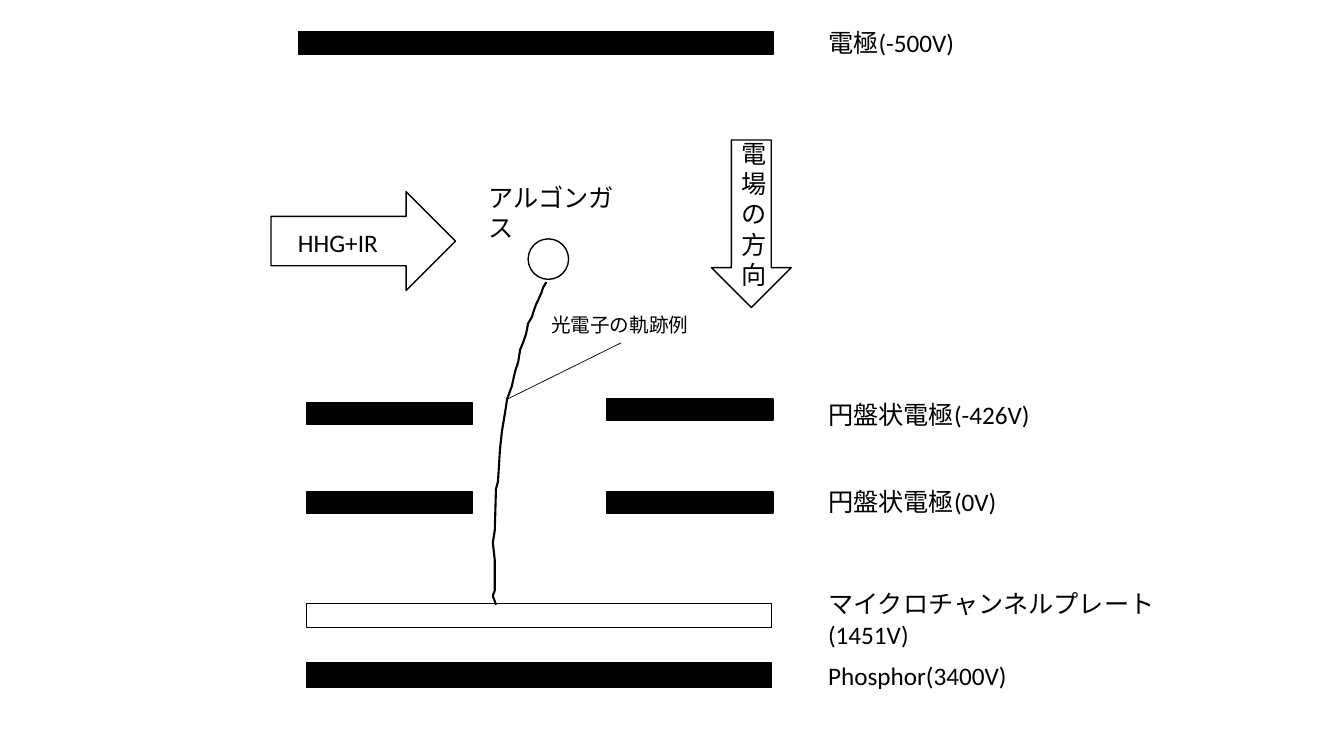
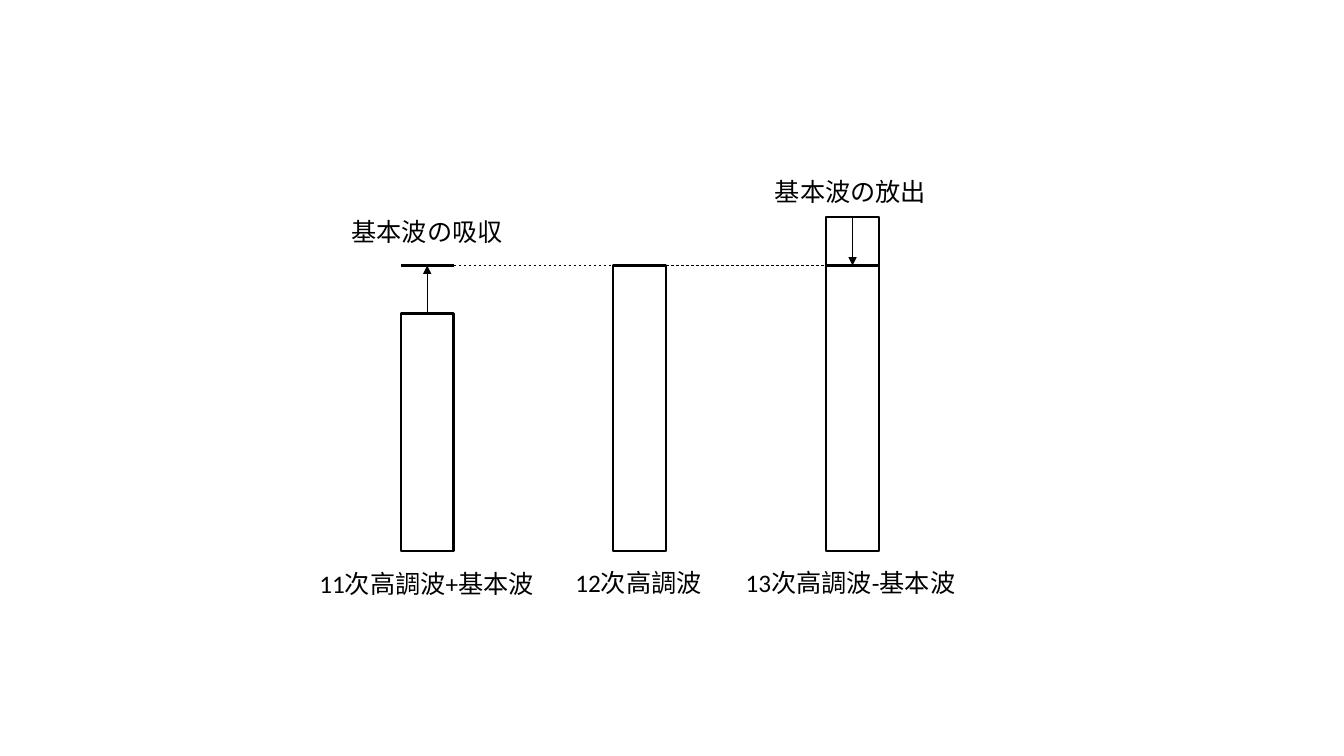
from pptx import Presentation
from pptx.dml.color import RGBColor
from pptx.enum.dml import MSO_LINE as Dash
from pptx.enum.shapes import MSO_CONNECTOR as Link, MSO_SHAPE as Kind
from pptx.enum.text import MSO_ANCHOR as Anchor, MSO_AUTO_SIZE as Fit, PP_ALIGN as Align
from pptx.oxml.ns import qn
from pptx.util import Cm, Pt
from lxml.etree import SubElement


def tint(code):
    return RGBColor.from_string(code)


class Deck:
    """Holds the drawing style and the slide being drawn."""

    ink = "000000"
    paper = "FFFFFF"
    face = "Calibri"

    def __init__(self):
        self.show = Presentation()
        self.show.slide_width = Cm(33.87)
        self.show.slide_height = Cm(19.05)

    def page(self):
        self.shapes = self.show.slides.add_slide(self.show.slide_layouts[6]).shapes

    def style(self, shape, fill, weight):
        shape.shadow.inherit = False
        if fill:
            shape.fill.solid()
            shape.fill.fore_color.rgb = tint(fill)
        else:
            shape.fill.background()
        shape.line.color.rgb = tint(self.ink)
        shape.line.width = Pt(weight)

    def letter(self, frame, words, size):
        frame.word_wrap = True
        par = frame.paragraphs[0]
        par.text = words
        par.font.size = Pt(size)
        par.font.name = self.face
        par.font.color.rgb = tint(self.ink)
        return par

    def shape(self, kind, x, y, w, h, fill=None, weight=1):
        item = self.shapes.add_shape(kind, Cm(x), Cm(y), Cm(w), Cm(h))
        self.style(item, fill, weight)
        return item

    def bar(self, x, y, w, h, fill=None, weight=1):
        return self.shape(Kind.RECTANGLE, x, y, w, h, fill, weight)

    def label(self, words, x, y, w, size=18):
        box = self.shapes.add_textbox(Cm(x), Cm(y), Cm(w), Cm(1.02))
        self.letter(box.text_frame, words, size)
        box.text_frame.auto_size = Fit.SHAPE_TO_FIT_TEXT

    def line(self, x, y, to_x, to_y, weight=0.5, dash=None, arrow=False):
        item = self.shapes.add_connector(Link.STRAIGHT, Cm(x), Cm(y), Cm(to_x), Cm(to_y))
        item.line.color.rgb = tint(self.ink)
        item.line.width = Pt(weight)
        if dash:
            item.line.dash_style = dash
        props = item._element.spPr
        if arrow:
            SubElement(props.find(qn("a:ln")), qn("a:tailEnd"), type="triangle")
        SubElement(props, qn("a:effectLst"))

    def trace(self, points, weight):
        spots = [(Cm(x), Cm(y)) for x, y in points]
        curve = self.shapes.build_freeform(*spots[0])
        curve.add_line_segments(spots[1:], close=False)
        self.style(curve.convert_to_shape(), None, weight)


TRACK = [
    (13.77, 7.11), (13.69, 7.24), (13.64, 7.39), (13.56, 7.57), (13.51, 7.67),
    (13.44, 7.87), (13.41, 7.98), (13.31, 8.15), (13.26, 8.41), (13.18, 8.64),
    (13.11, 8.81), (13.06, 9.12), (12.98, 9.37), (12.9, 9.73), (12.78, 10.06),
    (12.73, 10.39), (12.65, 10.87), (12.6, 11.33), (12.55, 12.14), (12.5, 12.32),
    (12.47, 13.36), (12.45, 13.49), (12.42, 13.67), (12.47, 14.12), (12.47, 14.88),
    (12.42, 15.01), (12.5, 15.24),
]


def draw_setup(deck):
    deck.page()
    left, right, wide = 7.72, 15.29, 11.73
    deck.bar(7.52, 0.79, 11.96, 0.58, deck.ink)
    for x, y in [(left, 10.16), (right, 10.06), (left, 12.4), (right, 12.4)]:
        deck.bar(x, y, 4.19, 0.53, deck.ink)
    deck.bar(left, 15.21, wide, 0.61, deck.paper)
    deck.bar(left, 16.71, wide, 0.61, deck.ink)
    for words, y, w in [
        ("電極(-500V)", 0.56, 3.73),
        ("円盤状電極(-426V)", 9.93, 5.64),
        ("円盤状電極(0V)", 12.14, 4.8),
        ("マイクロチャンネルプレート(1451V)", 14.71, 9.78),
        ("Phosphor(3400V)", 16.51, 5.3),
    ]:
        deck.label(words, 20.62, y, w)

    deck.shape(Kind.OVAL, 13.31, 6.02, 1.02, 1.02)
    deck.label("アルゴンガス", 12.07, 4.47, 4.01)
    deck.shape(Kind.RIGHT_ARROW, 6.83, 4.83, 4.65, 2.49)
    deck.label("HHG+IR", 7.26, 5.61, 2.8)
    deck.trace(TRACK, 1.5)
    deck.label("光電子の軌跡例", 13.64, 7.77, 4.2, 14)
    deck.line(12.78, 10.06, 15.65, 8.64)

    field = deck.shape(Kind.DOWN_ARROW, 17.93, 3.53, 2.01, 4.22)
    field.text_frame.vertical_anchor = Anchor.MIDDLE
    deck.letter(field.text_frame, "電場の方向", 18).alignment = Align.CENTER


def draw_waves(deck):
    deck.page()
    base, level, step, wide = 13.88, 6.69, 1.21, 1.33
    lefts = [10.1 + 5.36 * i for i in range(3)]
    tops = [level + step, level, level - step]
    for x, top in zip(lefts, tops):
        deck.bar(x, top, wide, base - top, weight=1.5)
    for x, top in [(lefts[0], tops[0]), (lefts[2], tops[2])]:
        deck.line(x, level, x + wide, level, 1.5)
        deck.line(x + wide / 2, top, x + wide / 2, level, arrow=True)
    for x, end in zip(lefts, lefts[1:]):
        deck.line(x + wide, level, end, level, dash=Dash.DASH)
    for words, x, y, w in [
        ("11次高調波+基本波", 7.8, 14.2, 5.97),
        ("12次高調波", 14.25, 14.17, 3.73),
        ("13次高調波-基本波", 18.54, 14.17, 5.84),
        ("基本波の吸収", 8.61, 5.33, 4.6),
        ("基本波の放出", 19.28, 4.32, 4.6),
    ]:
        deck.label(words, x, y, w)


def main():
    deck = Deck()
    draw_setup(deck)
    draw_waves(deck)
    deck.show.save("out.pptx")


if __name__ == "__main__":
    main()
